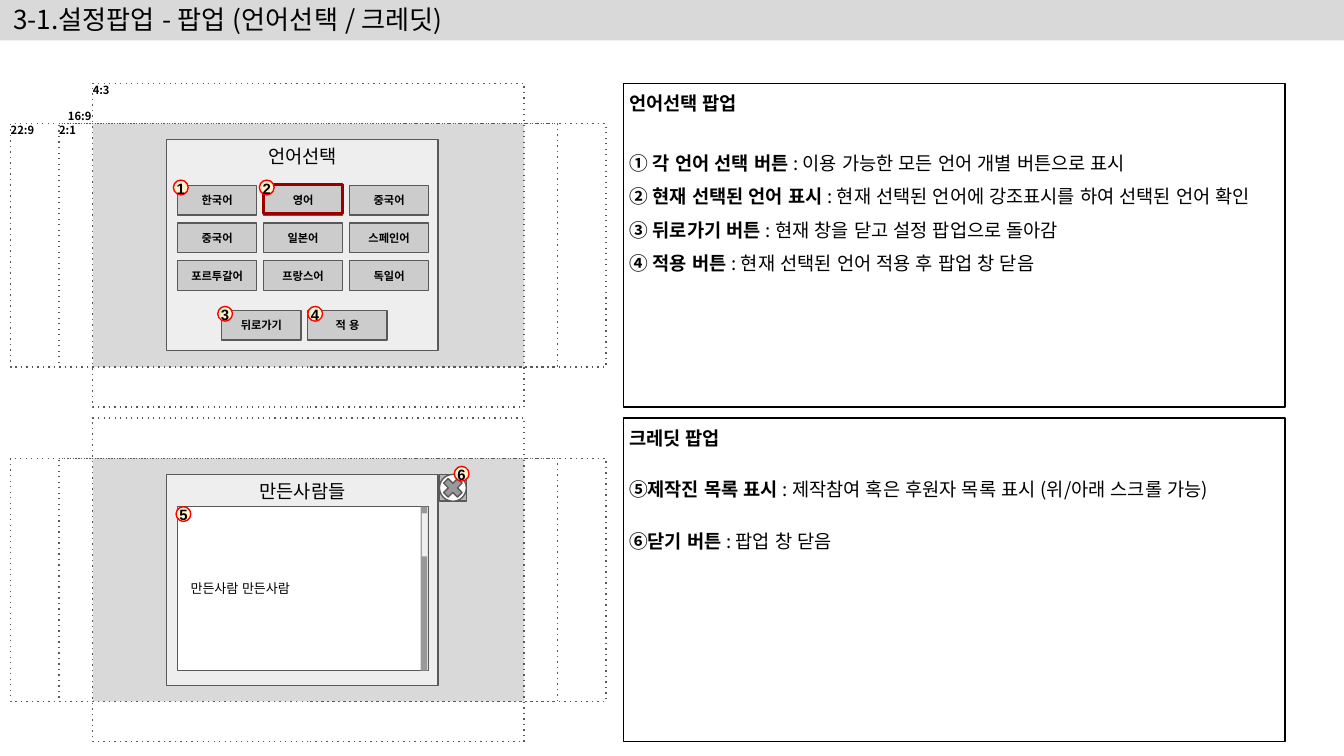
from dataclasses import dataclass

from lxml.etree import SubElement
from pptx import Presentation
from pptx.dml.color import RGBColor
from pptx.enum.dml import MSO_LINE
from pptx.enum.lang import MSO_LANGUAGE_ID as Language
from pptx.enum.shapes import MSO_SHAPE as Preset
from pptx.enum.text import MSO_ANCHOR as Anchor, PP_ALIGN as Align
from pptx.oxml.ns import qn
from pptx.util import Inches, Pt


@dataclass(frozen=True)
class Theme:
    """Colours, fonts and type sizes of the slide."""
    ink: str = "000000"
    outline: str = "595959"
    paper: str = "FFFFFF"
    stage: str = "D9D9D9"
    popup: str = "EEEEEE"
    button: str = "CCCCCC"
    selected: str = "980000"
    badge: str = "FFF2CC"
    badge_line: str = "FF0000"
    track: str = "999999"
    thumb: str = "EFEFEF"
    close: str = "B7B7B7"
    font: str = "Noto Sans CJK KR"
    badge_font: str = "Arial"
    title_size: float = 14
    body_size: float = 10
    credit_size: float = 7
    badge_size: float = 8
    small_size: float = 6
    hairline: float = 0.75
    thick_line: float = 1.5


THEME = Theme()

TITLE = "3-1.설정팝업 - 팝업 (언어선택 / 크레딧)"
STAGE_TOPS = [0.92, 3.41]
STAGE = (0.69, 3.21, 1.81)
FRAMES = [(0.44, 0, 3.71, 1.81), (0.69, -0.3, 3.21, 2.41), (0.08, 0, 4.43, 1.81)]
RATIOS = [
    ("2:1", 0.44, 0.92, Align.LEFT, Anchor.TOP),
    ("22:9", 0.08, 0.92, Align.LEFT, Anchor.TOP),
    ("4:3", 0.69, 0.62, Align.LEFT, Anchor.TOP),
    ("16:9", 0.43, 0.73, Align.RIGHT, Anchor.BOTTOM),
]
POPUPS = [("언어선택", 1.04), ("만든사람들", 3.53)]
LANGUAGES = [
    ["한국어", "영어", "중국어"],
    ["중국어", "일본어", "스페인어"],
    ["포르투갈어", "프랑스어", "독일어"],
]
ACTIONS = ["뒤로가기", "적 용"]
CREDITS = "만든사람 만든사람"
BADGES = [("1", 1.29, 1.34), ("2", 1.93, 1.34), ("3", 1.62, 2.28),
          ("4", 2.29, 2.28), ("5", 1.31, 3.77), ("6", 3.38, 3.47)]
PANELS = [
    (0.62, "언어선택 팝업", 18, [13.8, 0, 0, 0], [
        ("① 각 언어 선택 버튼 ", ": 이용 가능한 모든 언어 개별 버튼으로 표시"),
        ("② 현재 선택된 언어 표시 ", ": 현재 선택된 언어에 강조표시를 하여 선택된 언어 확인"),
        ("③ 뒤로가기 버튼 ", ": 현재 창을 닫고 설정 팝업으로 돌아감"),
        ("④ 적용 버튼 ", ": 현재 선택된 언어 적용 후 팝업 창 닫음"),
    ]),
    (3.11, "크레딧 팝업", 13.8, [13.8, 13.8], [
        ("⑤제작진 목록 표시", " : 제작참여 혹은 후원자 목록 표시 (위/아래 스크롤 가능)"),
        ("⑥닫기 버튼", " : 팝업 창 닫음"),
    ]),
]
HEADING_PITCH = 13.8
BUTTON = (0.59, 0.22)
BUTTON_STEP = 0.64
ROW_STEP = 0.28
GRID_LEFT, GRID_TOP = 1.32, 1.38
ACTION_LEFT, ACTION_TOP = 1.65, 2.31
CLOSE_BOX = (3.27, 3.53, 0.2, 0.2)

deck = Presentation()
deck.slide_width = Inches(10)
deck.slide_height = deck.slide_width * 9 // 16
slide = deck.slides.add_slide(deck.slide_layouts[6])


def draw(box, fill=None, line=None, weight=THEME.hairline, preset=Preset.RECTANGLE, dotted=False):
    shape = slide.shapes.add_shape(preset, *map(Inches, box))
    shape.shadow.inherit = False
    if fill:
        shape.fill.solid()
        shape.fill.fore_color.rgb = RGBColor.from_string(fill)
    else:
        shape.fill.background()
    if line:
        shape.line.color.rgb = RGBColor.from_string(line)
        shape.line.width = Pt(weight)
    else:
        shape.line.fill.background()
    if dotted:
        shape.line.dash_style = MSO_LINE.ROUND_DOT
        shape.line._ln.find(qn("a:prstDash")).set("val", "dot")
    return shape


def add_label(box):
    return slide.shapes.add_textbox(*map(Inches, box))


def set_frame(shape, anchor=Anchor.MIDDLE, insets=(0, 0, 0, 0)):
    frame = shape.text_frame
    frame.word_wrap, frame.vertical_anchor = True, anchor
    (frame.margin_left, frame.margin_top,
     frame.margin_right, frame.margin_bottom) = map(Inches, insets)
    return frame


def add_run(paragraph, words, size, bold=False, face=THEME.font):
    run = paragraph.add_run()
    run.text = words
    run.font.name, run.font.size, run.font.bold = face, Pt(size), bold
    run.font.language_id = Language.KOREAN
    run.font.color.rgb = RGBColor.from_string(THEME.ink)
    SubElement(run.font._element, qn("a:ea")).set("typeface", face)


def write(shape, words, size, bold=False, align=Align.CENTER, face=THEME.font, **frame_options):
    paragraph = set_frame(shape, **frame_options).paragraphs[0]
    paragraph.alignment = align
    add_run(paragraph, words, size, bold, face)


def draw_button(words, left, top):
    write(draw((left, top, *BUTTON), THEME.button, THEME.outline),
          words, THEME.small_size, bold=True)


def draw_stages():
    left, width, height = STAGE
    for top in STAGE_TOPS:
        draw((left, top, width, height), THEME.stage)
        for frame_left, shift, frame_width, frame_height in FRAMES:
            draw((frame_left, top + shift, frame_width, frame_height),
                 line=THEME.outline, dotted=True)
    for ratio, ratio_left, top, align, anchor in RATIOS:
        write(add_label((ratio_left, top, 0.25, 0.18)), ratio,
              THEME.small_size, True, align, anchor=anchor)


def draw_panels():
    for top, heading, pitch, gaps, items in PANELS:
        panel = draw((4.64, top, 4.92, 2.41), line=THEME.ink)
        frame = set_frame(panel, Anchor.TOP, (0.04, 0.04, 0.04, 0.04))
        paragraph = frame.paragraphs[0]
        paragraph.alignment, paragraph.line_spacing = Align.LEFT, Pt(HEADING_PITCH)
        add_run(paragraph, heading, THEME.body_size, True)
        for (term, meaning), gap in zip(items, gaps):
            paragraph = frame.add_paragraph()
            paragraph.alignment, paragraph.line_spacing = Align.LEFT, Pt(pitch)
            paragraph.space_before = Pt(gap)
            add_run(paragraph, term, THEME.body_size, True)
            add_run(paragraph, meaning, THEME.body_size)


def draw_language_popup():
    for row, languages in enumerate(LANGUAGES):
        for column, language in enumerate(languages):
            draw_button(language, GRID_LEFT + column * BUTTON_STEP, GRID_TOP + row * ROW_STEP)
    for column, action in enumerate(ACTIONS):
        draw_button(action, ACTION_LEFT + column * BUTTON_STEP, ACTION_TOP)
    draw((GRID_LEFT + BUTTON_STEP, 1.37, *BUTTON), line=THEME.selected, weight=THEME.thick_line)


def draw_credit_popup():
    write(draw((1.32, 3.77, 1.87, 1.22), THEME.paper, THEME.outline), CREDITS,
          THEME.credit_size, align=Align.LEFT, insets=(0.1, 0.1, 0.1, 0.1))
    draw((3.13, 3.77, 0.05, 1.22), THEME.track)
    draw((3.14, 3.82, 0.04, 0.32), THEME.thumb)
    draw(CLOSE_BOX, THEME.close, THEME.outline)
    disc = draw(CLOSE_BOX, THEME.paper, THEME.outline, preset=Preset.OVAL)
    cross = draw(CLOSE_BOX, THEME.track, THEME.outline, preset=Preset.MATH_PLUS)
    cross.adjustments[0] = 0.24
    disc.rotation = cross.rotation = 315


draw_stages()
write(draw((0, -0.01, 10, 0.31), THEME.stage), TITLE, THEME.title_size,
      align=Align.LEFT, insets=(0.1, 0, 0.1, 0))
draw_panels()
for popup_title, popup_top in POPUPS:
    write(draw((1.24, popup_top, 2.02, 1.57), THEME.popup, THEME.outline), popup_title,
          THEME.body_size, anchor=Anchor.TOP, insets=(0, 0.04, 0, 0))
draw_language_popup()
draw_credit_popup()
for number, badge_left, badge_top in BADGES:
    draw((badge_left, badge_top, 0.11, 0.11), THEME.badge, THEME.badge_line, preset=Preset.OVAL)
    write(add_label((badge_left - 0.07, badge_top - 0.04, 0.2, 0.2)), number, THEME.badge_size,
          True, face=THEME.badge_font, insets=(0.05, 0, 0, 0))
deck.save("out.pptx")
